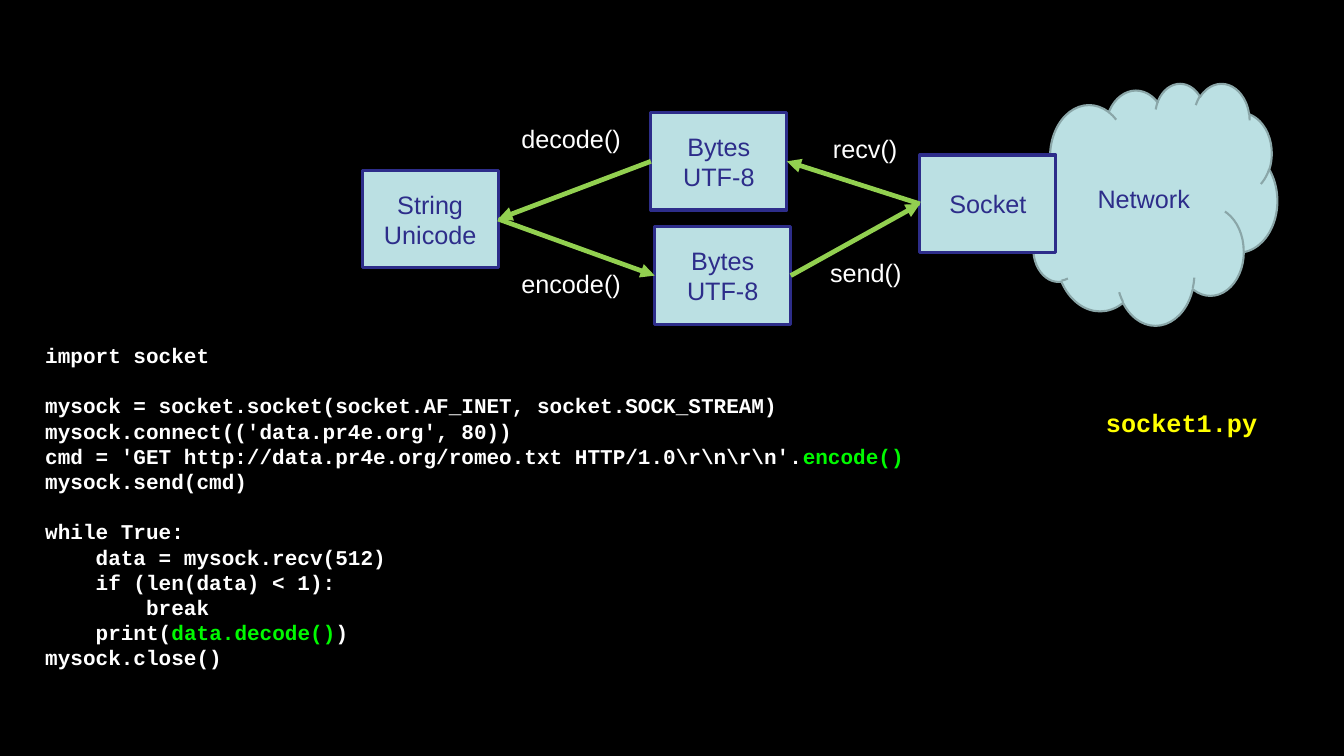
"""Build the slide on encoding and decoding strings around a network socket."""
import pptx
import pptx.dml.color
import pptx.enum.shapes
import pptx.enum.text
import pptx.util
from lxml import etree
from pptx.oxml.ns import qn

Cm, Pt = pptx.util.Cm, pptx.util.Pt
MSO_SHAPE = pptx.enum.shapes.MSO_SHAPE
PP_ALIGN = pptx.enum.text.PP_ALIGN
MSO_ANCHOR = pptx.enum.text.MSO_ANCHOR

PALE, NAVY, WHITE, GREEN = "BBE0E3", "2D2D8A", "FFFFFF", "00FA00"
BOX_W, BOX_H = 4.57, 3.28
LEFT, RIGHT = 1, 3
LABEL_FONT = {"name": "Arial", "size": Pt(24)}
CODE_FONT = {"name": "Courier New", "size": Pt(20), "bold": True}
FILE_FONT = {**CODE_FONT, "size": Pt(24)}

CLOUD = ("Network", 34.54, 2.79, 8.38, 8.13)
BOXES = {
    "socket": (["Socket"], 30.91, 5.21),
    "received": (["Bytes", "UTF-8"], 21.87, 3.78),
    "string": (["String", "Unicode"], 12.17, 5.72),
    "sent": (["Bytes", "UTF-8"], 22, 7.62),
}
ARROWS = [
    ("string", RIGHT, "sent", LEFT),
    ("socket", LEFT, "received", RIGHT),
    ("sent", RIGHT, "socket", LEFT),
    ("received", LEFT, "string", RIGHT),
]
LABELS = [
    ("recv()", 27.74, 4.37, 2.69),
    ("decode()", 17.27, 4.01, 3.89),
    ("encode()", 17.27, 8.89, 3.89),
    ("send()", 27.64, 8.53, 2.95),
]
FILE_LABEL = ("socket1.py", 36.91, 13.56, 5.64)
CODE_BLOCKS = [
    ["import socket"],
    [
        "mysock = socket.socket(socket.AF_INET, socket.SOCK_STREAM)",
        "mysock.connect(('data.pr4e.org', 80))",
        [(r"cmd = 'GET http://data.pr4e.org/romeo.txt HTTP/1.0\r\n\r\n'.", WHITE),
         ("encode()", GREEN)],
        "mysock.send(cmd)",
    ],
    [
        "while True:",
        "    data = mysock.recv(512)",
        "    if (len(data) < 1):",
        "        break",
        [("    print(", WHITE), ("data.decode()", GREEN), (")", WHITE)],
        "mysock.close()",
    ],
]


def rgb(value):
    """Return the colour for a hex string."""
    return pptx.dml.color.RGBColor.from_string(value)


def set_all(obj, values):
    """Set each attribute named in a dict."""
    for name, value in values.items():
        setattr(obj, name, value)


def add_line(tf, line, font, color, **layout):
    """Write one paragraph, given as a string or as (text, colour) runs."""
    p = tf.paragraphs[0]
    if p.runs:
        p = tf.add_paragraph()
    set_all(p, {"line_spacing": Pt(font["size"].pt * 1.2), **layout})
    for text, run_color in [(line, color)] if isinstance(line, str) else line:
        r = p.add_run()
        r.text = text
        set_all(r.font, font)
        r.font.color.rgb = rgb(run_color)


def add_node(s, kind, lines, place, line_color, line_width):
    """Add a pale shape with centred text."""
    sp = s.shapes.add_shape(kind, *map(Cm, place))
    sp.shadow.inherit = False
    sp.fill.solid()
    sp.fill.fore_color.rgb = rgb(PALE)
    sp.line.color.rgb = rgb(line_color)
    sp.line.width = Pt(line_width)
    sp.text_frame.vertical_anchor = MSO_ANCHOR.MIDDLE
    for line in lines:
        add_line(sp.text_frame, line, LABEL_FONT, NAVY, alignment=PP_ALIGN.CENTER)
    return sp


def add_label(s, text, x, y, w, font, color):
    """Add a one-line text box."""
    tf = s.shapes.add_textbox(Cm(x), Cm(y), Cm(w), Cm(1.27)).text_frame
    tf.word_wrap = False
    add_line(tf, text, font, color)


def add_arrow(s, start, start_site, end, end_site):
    """Join two boxes with a green arrow."""
    c = s.shapes.add_connector(pptx.enum.shapes.MSO_CONNECTOR.STRAIGHT, 0, 0, 0, 0)
    c.begin_connect(start, start_site)
    c.end_connect(end, end_site)
    c.line.color.rgb = rgb("92D050")
    c.line.width = Pt(4.5)
    etree.SubElement(c.line._get_or_add_ln(), qn("a:tailEnd"), type="triangle")
    etree.SubElement(c._element.spPr, qn("a:effectLst"))


def add_code(s):
    """Add the listing, with one line of space between its blocks."""
    tf = s.shapes.add_textbox(Cm(1.27), Cm(11.38), Cm(31.6), Cm(12.47)).text_frame
    tf.word_wrap = True
    for b, block in enumerate(CODE_BLOCKS):
        for i, line in enumerate(block):
            gap = Pt(24) if b and not i else Pt(0)
            add_line(tf, line, CODE_FONT, WHITE, space_before=gap)


def main():
    """Build and save the slide."""
    prs = pptx.Presentation()
    set_all(prs, {"slide_width": Cm(45.16), "slide_height": Cm(25.4)})
    s = prs.slides.add_slide(prs.slide_layouts[6])
    s.background.fill.solid()
    s.background.fill.fore_color.rgb = rgb("000000")

    name, *place = CLOUD
    add_node(s, MSO_SHAPE.CLOUD, [name], place, "8AA6A8", 2)
    boxes = {
        key: add_node(s, MSO_SHAPE.RECTANGLE, lines, (x, y, BOX_W, BOX_H), NAVY, 3)
        for key, (lines, x, y) in BOXES.items()
    }
    for start, start_site, end, end_site in ARROWS:
        add_arrow(s, boxes[start], start_site, boxes[end], end_site)
    for label in LABELS:
        add_label(s, *label, LABEL_FONT, WHITE)
    add_code(s)
    add_label(s, *FILE_LABEL, FILE_FONT, "FFFF00")
    prs.save("out.pptx")


if __name__ == "__main__":
    main()
